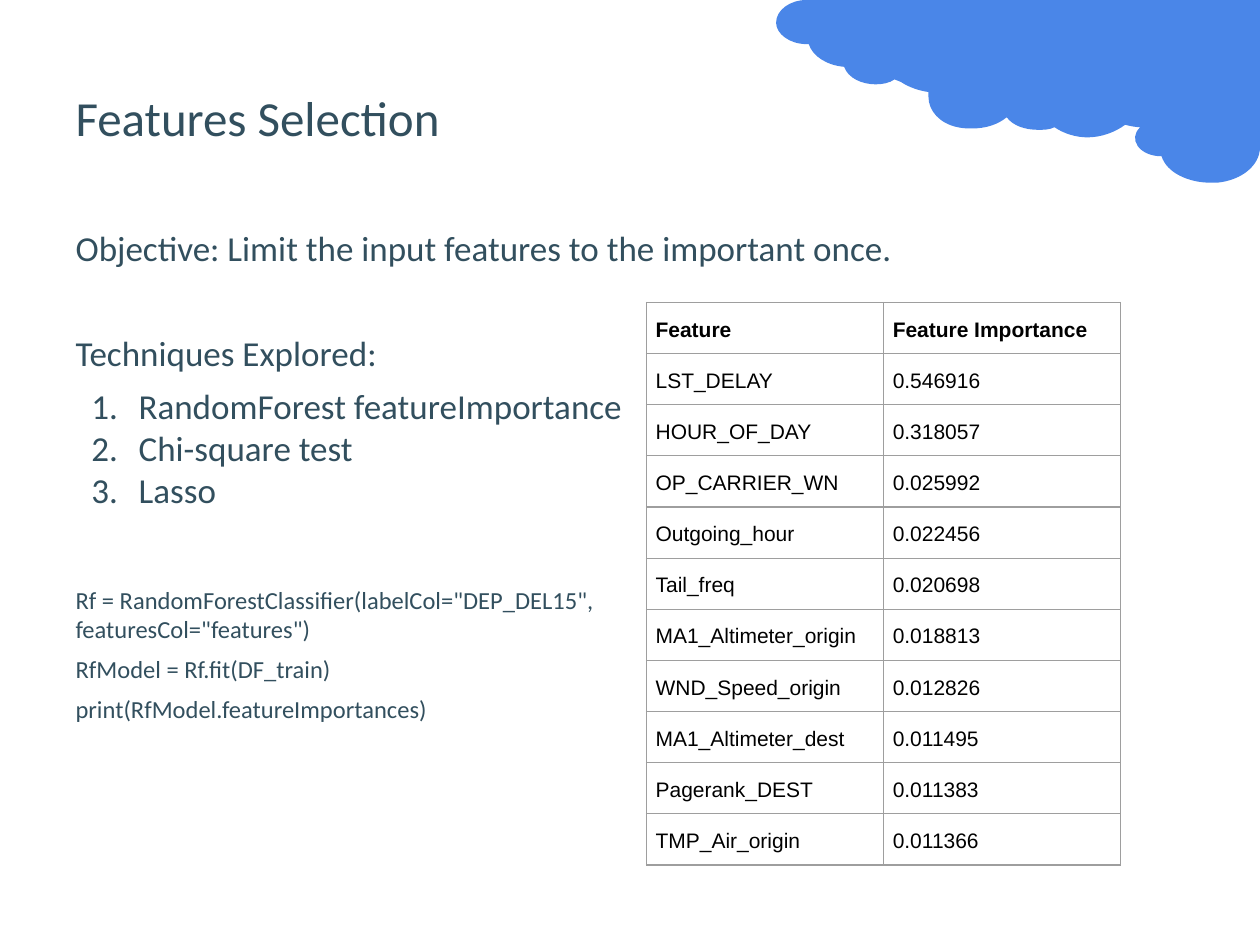
from lxml.etree import SubElement
from pptx import Presentation
from pptx.dml.color import RGBColor
from pptx.enum.text import MSO_ANCHOR, MSO_AUTO_SIZE, PP_ALIGN
from pptx.oxml.ns import qn
from pptx.util import Pt

SLATE = RGBColor(0x32, 0x4F, 0x5E)
BLUE = RGBColor(0x4A, 0x86, 0xE8)
BLACK = RGBColor(0, 0, 0)
GREY = RGBColor(0x9E, 0x9E, 0x9E)

TWO_CONTENT_LAYOUT = 3
LINE_GAP = 6
SECTION_GAP = 36

# Each paragraph: text, space before, numbered
OVERVIEW = [
    ("Objective: Limit the input features to the important once.", LINE_GAP, False),
    ("Techniques Explored:", SECTION_GAP, False),
    ("RandomForest featureImportance", LINE_GAP, True),
    ("Chi-square test", 0, True),
    ("Lasso", 0, True),
]
CODE = [
    ('Rf = RandomForestClassifier(labelCol="DEP_DEL15", featuresCol="features")', LINE_GAP, False),
    ("RfModel = Rf.fit(DF_train)", LINE_GAP, False),
    ("print(RfModel.featureImportances)", LINE_GAP, False),
]
FEATURES = [
    ("Feature", "Feature Importance"),
    ("LST_DELAY", "0.546916"),
    ("HOUR_OF_DAY", "0.318057"),
    ("OP_CARRIER_WN", "0.025992"),
    ("Outgoing_hour", "0.022456"),
    ("Tail_freq", "0.020698"),
    ("MA1_Altimeter_origin", "0.018813"),
    ("WND_Speed_origin", "0.012826"),
    ("MA1_Altimeter_dest", "0.011495"),
    ("Pagerank_DEST", "0.011383"),
    ("TMP_Air_origin", "0.011366"),
]

# Cloud outline in points: two control points and an end point per curve
CLOUD_START = (720, 84.2)
CLOUD_CORNER = (720, 0)
CLOUD_CURVES = [
    ((720, 94.3), (709.9, 103), (695.5, 104.4)),
    ((694.1, 104.4), (693.4, 104.4), (691.9, 104.4)),
    ((679, 104.4), (666.7, 98.6), (663.8, 89.3)),
    ((650.9, 89.3), (644.4, 79.2), (651.6, 72.7)),
    ((648.7, 72.7), (645.8, 72), (643, 71.3)),
    ((637.2, 75.6), (629.3, 78.5), (621.4, 78.5)),
    ((614.9, 78.5), (607.7, 76.3), (602.6, 72.7)),
    ((599.8, 74.2), (596.2, 74.2), (593.3, 74.2)),
    ((586.1, 74.2), (578.9, 72), (575.3, 67)),
    ((570.2, 71.3), (563, 73.4), (555.8, 73.4)),
    ((553, 73.4), (550.1, 73.4), (547.2, 72.7)),
    ((537.1, 70.6), (530.6, 63.4), (530.6, 55.4)),
    ((530.6, 54.7), (530.6, 53.3), (530.6, 52.6)),
    ((524.9, 51.8), (519.1, 49.7), (514.8, 46.8)),
    ((513.4, 46.1), (512.6, 46.1), (511.2, 45.4)),
    ((508.3, 47.5), (504, 48.2), (500.4, 48.2)),
    ((492.5, 48.2), (484.6, 44.6), (482.4, 38.2)),
    ((473, 37.4), (464.4, 32.4), (462.2, 25.2)),
    ((461.5, 25.2), (461.5, 25.2), (460.8, 25.2)),
    ((451.4, 25.2), (443.5, 19.4), (443.5, 13)),
    ((443.5, 5.8), (451.4, 0), (460.8, 0)),
]


def set_attributes(target, values):
    for name, value in values.items():
        setattr(target, name, value)


def format_font(font, name, size, color, bold=False):
    set_attributes(font, {"name": name, "size": Pt(size), "bold": bold})
    font.color.rgb = color


def place(shape, left, top, width, height):
    set_attributes(shape, {"left": Pt(left), "top": Pt(top),
                           "width": Pt(width), "height": Pt(height)})


def set_bullet(paragraph, numbered):
    properties = paragraph._p.get_or_add_pPr()
    properties.set("marL", str(Pt(36) if numbered else 0))
    properties.set("indent", str(Pt(-27) if numbered else 0))
    if not numbered:
        SubElement(properties, qn("a:buNone"))
        return
    color = SubElement(properties, qn("a:buClr"))
    SubElement(color, qn("a:srgbClr"), val=str(SLATE))
    SubElement(properties, qn("a:buFont"), typeface="Calibri")
    SubElement(properties, qn("a:buAutoNum"), type="arabicPeriod")


def fill_placeholder(shape, box, paragraphs, size, anchor=MSO_ANCHOR.TOP):
    place(shape, *box)
    frame = shape.text_frame
    set_attributes(frame, {"auto_size": MSO_AUTO_SIZE.NONE, "word_wrap": True,
                           "vertical_anchor": anchor})
    frame.text = "\n".join(text for text, _, _ in paragraphs)
    for paragraph, (_, gap, numbered) in zip(frame.paragraphs, paragraphs):
        set_attributes(paragraph, {"alignment": PP_ALIGN.LEFT, "line_spacing": 1.0,
                                   "space_before": Pt(gap), "space_after": Pt(0)})
        set_bullet(paragraph, numbered)
        format_font(paragraph.runs[0].font, "Calibri", size, SLATE)


def add_borders(cell):
    properties = cell._tc.get_or_add_tcPr()
    for index, side in enumerate(("lnL", "lnR", "lnT", "lnB")):
        line = properties.makeelement(qn(f"a:{side}"), {"w": str(Pt(0.75))})
        fill = SubElement(line, qn("a:solidFill"))
        SubElement(fill, qn("a:srgbClr"), val=str(GREY))
        properties.insert(index, line)


def format_cell(cell, text, bold):
    set_attributes(cell, {"text": text, "vertical_anchor": MSO_ANCHOR.MIDDLE,
                          "margin_left": Pt(5.25), "margin_right": Pt(5.25),
                          "margin_top": Pt(0), "margin_bottom": Pt(0)})
    cell.fill.background()
    add_borders(cell)
    paragraph = cell.text_frame.paragraphs[0]
    set_attributes(paragraph, {"line_spacing": 1.15, "space_after": Pt(15)})
    format_font(paragraph.runs[0].font, "Arial", 12, BLACK, bold)


def add_feature_table(slide, box, column_width, row_height):
    frame = slide.shapes.add_table(len(FEATURES), len(FEATURES[0]), *map(Pt, box))
    table = frame.table
    set_attributes(table, {"first_row": False, "horz_banding": False})
    for column in table.columns:
        column.width = Pt(column_width)
    for row in table.rows:
        row.height = Pt(row_height)
    place(frame, *box)
    for row_index, values in enumerate(FEATURES):
        for column_index, text in enumerate(values):
            format_cell(table.cell(row_index, column_index), text, bold=row_index == 0)


def bend_segments(shape, curves):
    """Turn the first straight segments of a freeform into Bezier curves."""
    segments = list(shape._element.iter(qn("a:lnTo")))
    for segment, curve in zip(segments, curves):
        bezier = segment.makeelement(qn("a:cubicBezTo"), {})
        for x, y in curve:
            SubElement(bezier, qn("a:pt"), x=str(Pt(x) - shape.left), y=str(Pt(y) - shape.top))
        segment.getparent().replace(segment, bezier)


def add_cloud(slide):
    corners = [curve[-1] for curve in CLOUD_CURVES] + [CLOUD_CORNER]
    builder = slide.shapes.build_freeform(*map(Pt, CLOUD_START))
    builder.add_line_segments([(Pt(x), Pt(y)) for x, y in corners], close=True)
    cloud = builder.convert_to_shape()
    bend_segments(cloud, CLOUD_CURVES)
    cloud.shadow.inherit = False
    cloud.fill.solid()
    cloud.fill.fore_color.rgb = BLUE
    cloud.line.fill.background()


def main():
    presentation = Presentation()
    set_attributes(presentation, {"slide_width": Pt(720), "slide_height": Pt(540)})
    slide = presentation.slides.add_slide(presentation.slide_layouts[TWO_CONTENT_LAYOUT])
    title, overview, code = list(slide.placeholders)[:3]
    fill_placeholder(title, (36, 21.6, 648, 90), [("Features Selection", 0, False)],
                     28, MSO_ANCHOR.MIDDLE)
    fill_placeholder(overview, (36, 126, 648, 356.4), OVERVIEW, 20)
    fill_placeholder(code, (36, 330.5, 315.4, 134.6), CODE, 14)
    add_feature_table(slide, (369.4, 172.8, 236.2, 236.2), 135.5, 29.25)
    add_cloud(slide)
    presentation.save("out.pptx")


if __name__ == "__main__":
    main()
